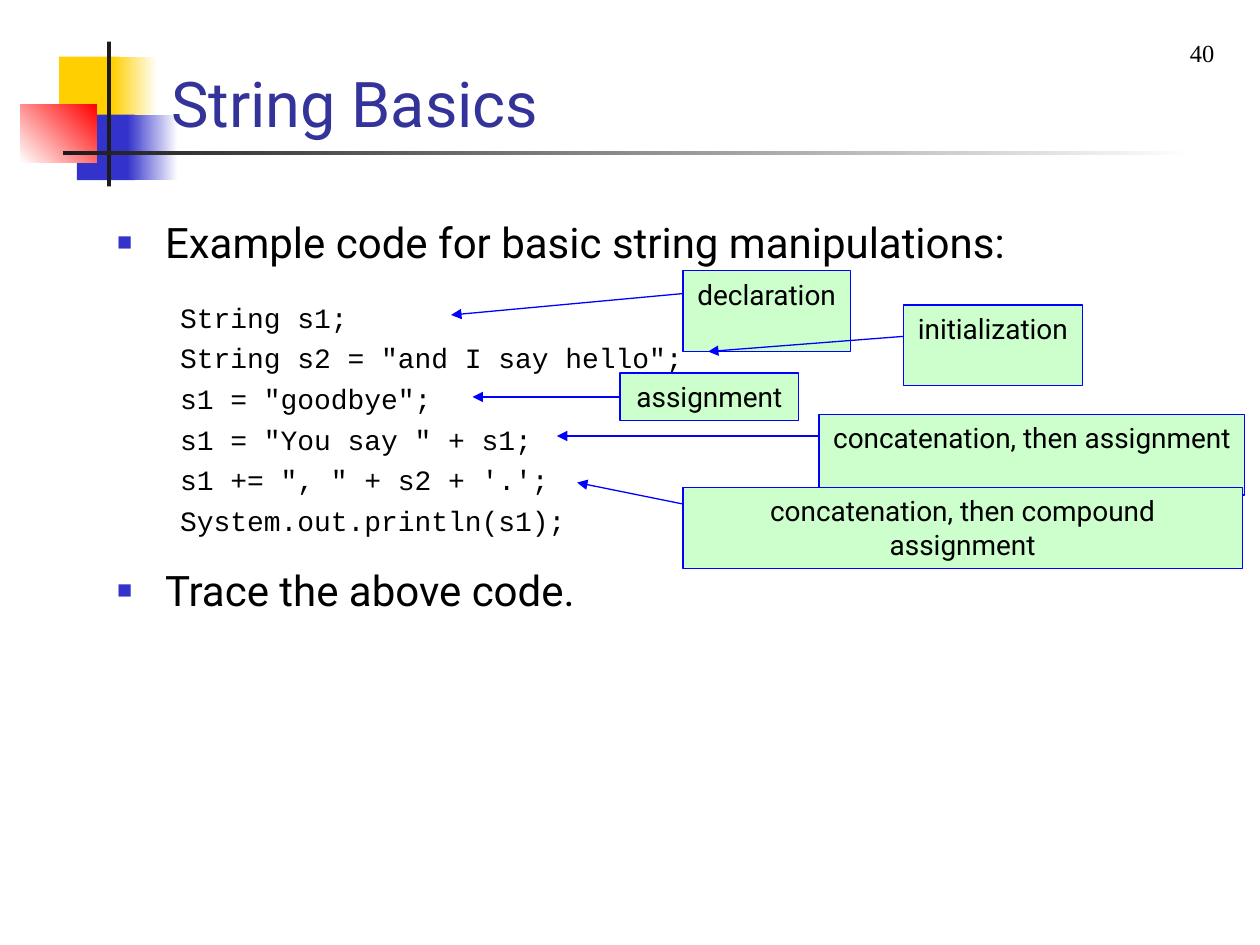
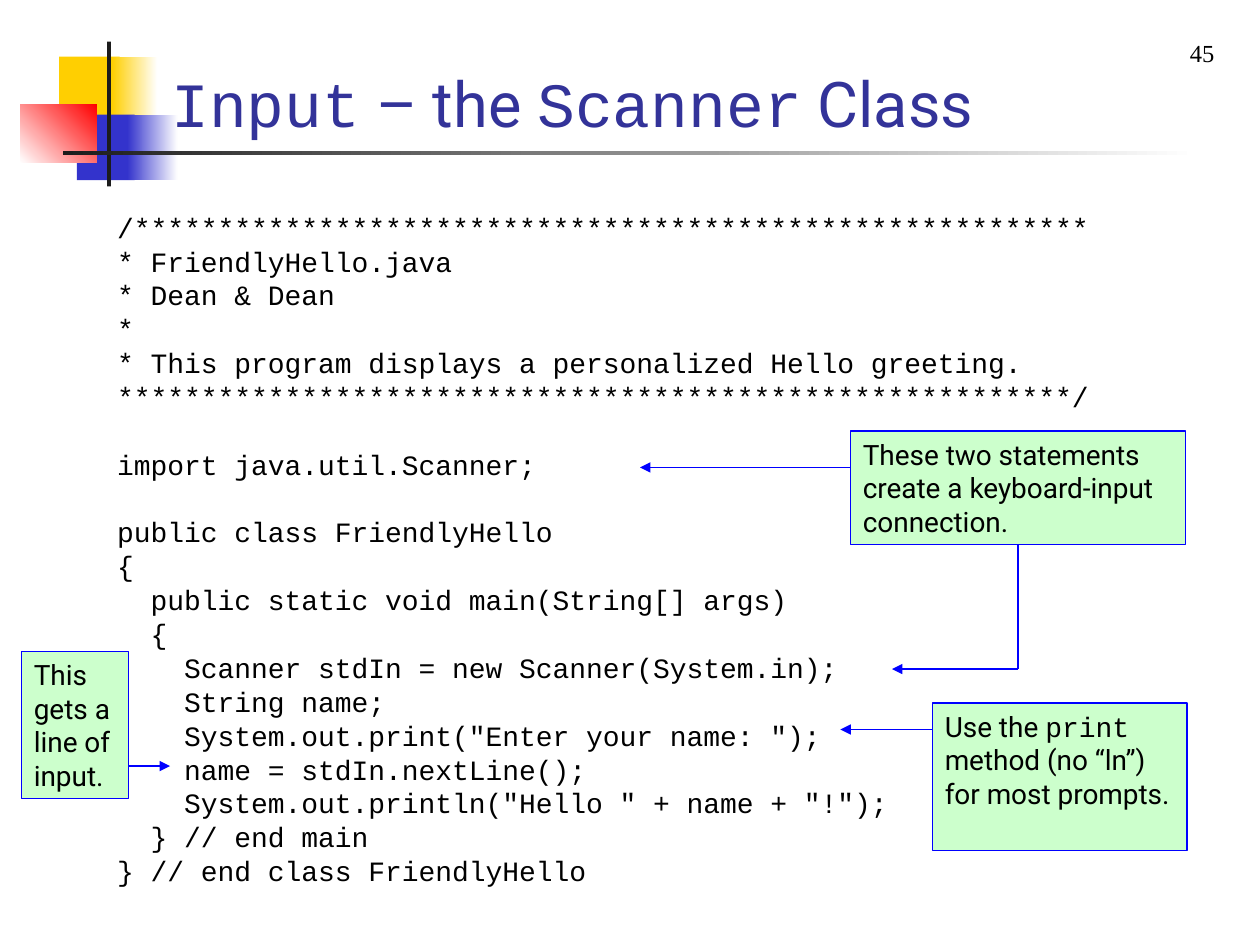
from lxml.etree import SubElement
from pptx import Presentation
from pptx.dml.color import RGBColor
from pptx.enum.shapes import MSO_CONNECTOR as Link, MSO_SHAPE as Preset
from pptx.enum.text import MSO_ANCHOR as Anchor, MSO_AUTO_SIZE as Fit, PP_ALIGN as Align
from pptx.oxml.ns import qn
from pptx.util import Inches, Pt

COLORS = {
    "yellow": "FFCF01", "blue": "3333CC", "red": "FF0000", "dark": "1C1C1C",
    "white": "FFFFFF", "title": "333399", "text": "000000",
    "note": "CCFFCC", "arrow": "0000FF",
}
SANS, MONO, SERIF = "Roboto", "Courier New", "Times New Roman"
LEFT, BOTTOM = 1, 2
BULLET_GAP, CODE_GAP, BLANK_LINE = 6, 4, 19.3

BANDS = [
    ((0.47, 0.45, 0.48, 0.52), ["yellow"], 0),
    ((0.89, 0.45, 0.36, 0.52), ["yellow", "white"], 0),
    ((0.61, 0.91, 0.46, 0.52), ["blue"], 0),
    ((1.01, 0.91, 0.4, 0.52), ["blue", "white"], 0),
    ((0.16, 0.83, 0.61, 0.46), ["white", "red"], 45),
    ((0.85, 0.33, 0.03, 1.15), ["dark"], 0),
    ((0.5, 1.2, 9, 0.03), ["dark", "white"], 0),
]

STRING_CODE = """String s1;
String s2 = "and I say hello";
s1 = "goodbye";
s1 = "You say " + s1;
s1 += ", " + s2 + '.';
System.out.println(s1);"""

HELLO_CODE = """/*********************************************************
* FriendlyHello.java
* Dean & Dean
*
* This program displays a personalized Hello greeting.
*********************************************************/

import java.util.Scanner;

public class FriendlyHello
{
  public static void main(String[] args)
  {
    Scanner stdIn = new Scanner(System.in);
    String name;
    System.out.print("Enter your name: ");
    name = stdIn.nextLine();
    System.out.println("Hello " + name + "!");
  } // end main
} // end class FriendlyHello"""


def rgb(name):
    return RGBColor.from_string(COLORS[name])


def inches(values):
    return [Inches(value) for value in values]


def add_runs(paragraph, pieces, size, color="text"):
    for text, face in pieces:
        run = paragraph.add_run()
        run.text = text
        run.font.name = face
        run.font.size = Pt(size)
        run.font.color.rgb = rgb(color)


def add_rect(slide, box):
    rect = slide.shapes.add_shape(Preset.RECTANGLE, *inches(box))
    rect.shadow.inherit = False
    return rect


def add_bands(slide):
    tree = slide.slide_layout.shapes.element
    for order, (box, tints, angle) in enumerate(BANDS):
        band = add_rect(slide, box)
        band.line.fill.background()
        if len(tints) == 1:
            band.fill.solid()
            band.fill.fore_color.rgb = rgb(tints[0])
        else:
            band.fill.gradient()
            band.fill.gradient_angle = angle
            for stop, tint in zip(band.fill.gradient_stops, tints):
                stop.color.rgb = rgb(tint)
        band.element.nvSpPr.cNvPr.set("id", str(100 + order))
        tree.insert(2 + order, band.element)


def place(holder, box):
    holder.left, holder.top, holder.width, holder.height = inches(box)
    holder.text_frame.auto_size = Fit.NONE
    return holder.text_frame


def add_title(slide, pieces):
    frame = place(slide.shapes.title, (1.26, 0.37, 7.6, 0.79))
    frame.vertical_anchor = Anchor.BOTTOM
    heading = frame.paragraphs[0]
    heading.alignment = Align.LEFT
    add_runs(heading, pieces, 36, "title")


def add_page_number(slide, number):
    frame = slide.shapes.add_textbox(*inches((9.33, 0.25, 0.42, 0.42))).text_frame
    frame.word_wrap = True
    frame.paragraphs[0].alignment = Align.CENTER
    add_runs(frame.paragraphs[0], [(number, SERIF)], 14)


def start_line(frame, margin, hanging, before, bulleted=False):
    first = not frame.paragraphs[0].runs
    line = frame.paragraphs[0] if first else frame.add_paragraph()
    props = line._p.get_or_add_pPr()
    props.set("marL", str(Inches(margin)))
    props.set("indent", str(-Inches(hanging)))
    if bulleted:
        tint = SubElement(props, qn("a:buClr"))
        SubElement(tint, qn("a:srgbClr"), val=COLORS["blue"])
        SubElement(props, qn("a:buSzPct"), val="60000")
        SubElement(props, qn("a:buChar"), char="■")
    else:
        SubElement(props, qn("a:buNone"))
    line.space_before = Pt(0 if first else before)
    line.space_after = Pt(0)
    return line


def add_bullet(frame, text):
    line = start_line(frame, 0.38, 0.38, BULLET_GAP, bulleted=True)
    add_runs(line, [(text, SANS)], 24)
    return line


def add_code(frame, code, margin, hanging, spacing=1.0):
    gap = CODE_GAP
    for text in code.splitlines():
        if not text:
            gap += BLANK_LINE
            continue
        line = start_line(frame, margin, hanging, gap)
        line.line_spacing = spacing
        add_runs(line, [(text, MONO)], 16)
        gap = CODE_GAP
    return line


def add_note(slide, box, pieces, align=Align.LEFT):
    note = add_rect(slide, box)
    note.fill.solid()
    note.fill.fore_color.rgb = rgb("note")
    note.line.color.rgb = rgb("arrow")
    note.line.width = Pt(0.75)
    frame = note.text_frame
    frame.word_wrap = True
    frame.vertical_anchor = Anchor.TOP
    frame.paragraphs[0].alignment = align
    add_runs(frame.paragraphs[0], pieces, 16)
    return note


def add_pointer(slide, start, end, note=None, side=LEFT, head=True):
    pointer = slide.shapes.add_connector(Link.STRAIGHT, *inches(start + end))
    pointer.line.color.rgb = rgb("arrow")
    pointer.line.width = Pt(0.75)
    if head:
        SubElement(pointer.line._get_or_add_ln(), qn("a:tailEnd"), type="triangle")
    SubElement(pointer.element.spPr, qn("a:effectLst"))
    if note is not None:
        pointer.begin_connect(note, side)


def build_string_basics(slide):
    add_title(slide, [("String Basics", SANS)])
    frame = place(slide.placeholders[1], (0.83, 1.67, 8.75, 5.42))
    add_bullet(frame, "Example code for basic string manipulations:").space_after = Pt(15)
    add_code(frame, STRING_CODE, 0.81, 0.31).space_after = Pt(10)
    add_bullet(frame, "Trace the above code.")

    labels = [
        ("declaration", (5.42, 2.15, 1.33, 0.64)),
        ("initialization", (7.17, 2.42, 1.42, 0.64)),
        ("assignment", (4.92, 2.96, 1.42, 0.38)),
        ("concatenation, then assignment", (6.5, 3.29, 3.38, 0.64)),
        ("concatenation, then compound assignment", (5.42, 3.87, 4.44, 0.64)),
    ]
    notes = {text: add_note(slide, box, [(text, SANS)], Align.CENTER)
             for text, box in labels}
    add_pointer(slide, (5.42, 2.33), (3.58, 2.5))
    add_pointer(slide, (7.17, 2.67), (5.62, 2.79))
    add_pointer(slide, (4.92, 3.15), (3.75, 3.15), notes["assignment"])
    add_pointer(slide, (6.5, 3.46), (4.42, 3.46))
    add_pointer(slide, (5.42, 4), (4.58, 3.83))
    add_page_number(slide, "40")


def build_scanner_input(slide):
    add_title(slide, [("Input", MONO), (" – the ", SANS),
                      ("Scanner", MONO), (" Class", SANS)])
    frame = place(slide.placeholders[1], (0.83, 1.67, 8.58, 5.56))
    add_code(frame, HELLO_CODE, 0.38, 0.38, 0.8)

    connection = add_note(
        slide, (6.75, 3.42, 2.66, 0.9),
        [("These two statements create a keyboard-input connection.", SANS)])
    add_note(slide, (7.4, 5.58, 2.02, 1.17),
             [("Use the ", SANS), ("print", MONO),
              (" method (no “ln”) for most prompts.", SANS)])
    add_note(slide, (0.17, 5.17, 0.85, 1.17), [("This gets a line of input.", SANS)])
    add_pointer(slide, (6.75, 3.71), (5.08, 3.71))
    add_pointer(slide, (8.08, 4.32), (8.08, 5.31), connection, BOTTOM, head=False)
    add_pointer(slide, (8.08, 5.31), (7.08, 5.31))
    add_pointer(slide, (1.02, 6.08), (1.35, 6.08))
    add_pointer(slide, (7.4, 5.79), (6.67, 5.79))
    add_page_number(slide, "45")


def main():
    deck = Presentation()
    deck.slide_width, deck.slide_height = Inches(10), Inches(7.5)
    layout = deck.slide_layouts[1]
    basics = deck.slides.add_slide(layout)
    add_bands(basics)
    build_string_basics(basics)
    build_scanner_input(deck.slides.add_slide(layout))
    deck.save("out.pptx")


if __name__ == "__main__":
    main()
